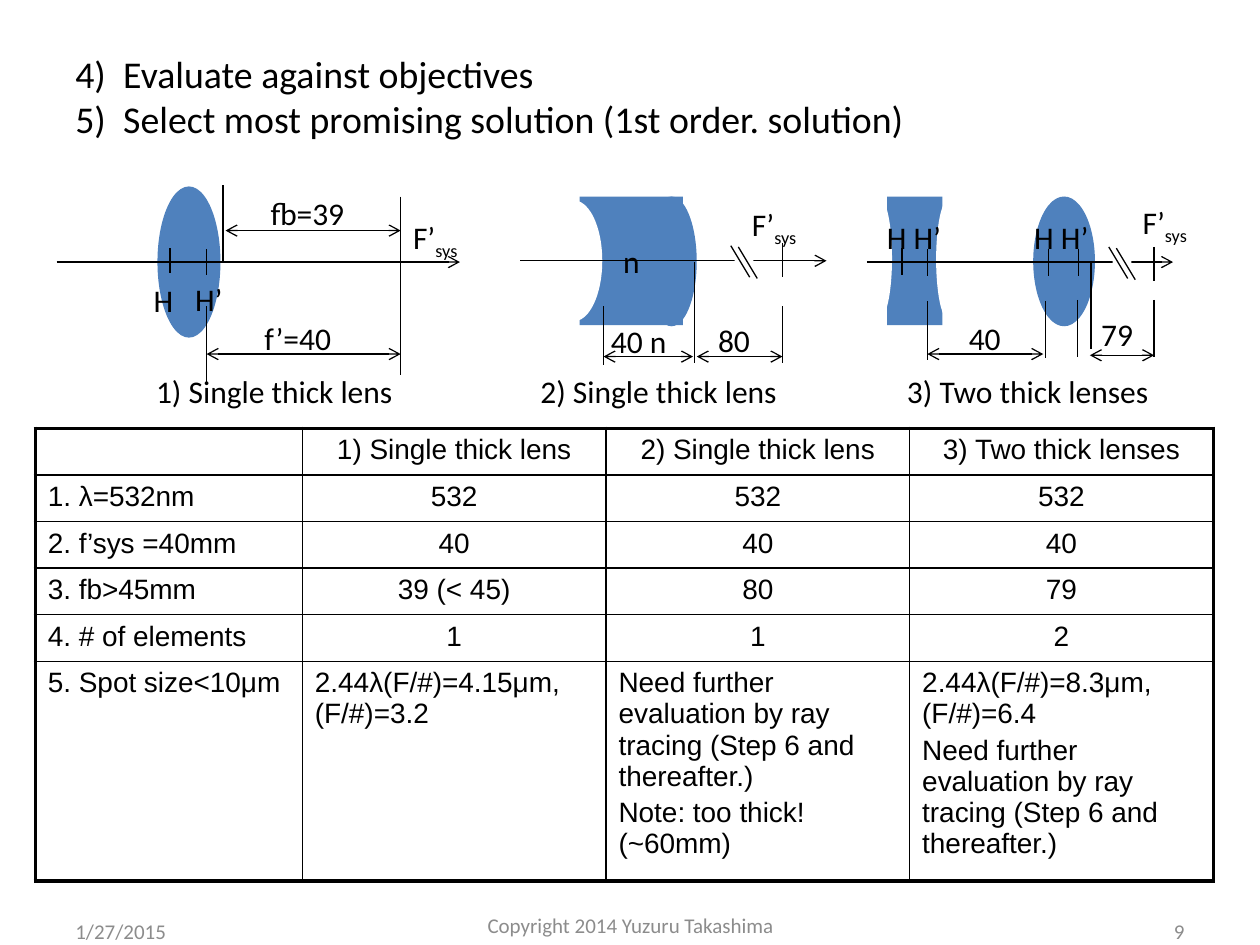
"""Build a slide that compares three first-order lens solutions."""
from lxml.etree import SubElement
from pptx import Presentation
from pptx.dml.color import RGBColor
from pptx.enum.shapes import MSO_CONNECTOR, MSO_SHAPE
from pptx.enum.text import MSO_ANCHOR, PP_ALIGN
from pptx.oxml.ns import qn
from pptx.util import Inches, Pt

BLACK, WHITE, BLUE, GREY = "000000", "FFFFFF", "4F81BD", "8C8C8C"
LEFT, CENTER, RIGHT = PP_ALIGN.LEFT, PP_ALIGN.CENTER, PP_ALIGN.RIGHT
OVAL, RECT = MSO_SHAPE.OVAL, MSO_SHAPE.RECTANGLE

TITLE = ["4)\tEvaluate against objectives",
         "5)\tSelect most promising solution (1st order. solution)"]
FOOTERS = [("1/27/2015", 0.5, 7.13, 2.33, LEFT),
           ("Copyright 2014 Yuzuru Takashima", 3.42, 7.08, 3.17, CENTER),
           ("9", 7.17, 7.13, 2.33, RIGHT)]
LENS_PARTS = [
    (OVAL, 1.25, 1.48, 0.5, 1.2, BLUE, ""),
    (OVAL, 5.13, 1.56, 0.4, 1.03, BLUE, ""),
    (RECT, 4.6, 1.56, 0.82, 1.02, BLUE, "n"),
    (OVAL, 4.33, 1.59, 0.45, 0.96, WHITE, ""),
    (OVAL, 8.2, 1.56, 0.49, 1.03, BLUE, ""),
    (RECT, 7.04, 1.56, 0.44, 1.02, BLUE, ""),
    (OVAL, 7.43, 1.58, 0.2, 0.96, WHITE, ""),
    (OVAL, 6.88, 1.57, 0.2, 0.96, WHITE, ""),
]
AXES = [(0.45, 3.65, 2.08), (4.13, 6.56, 2.07), (6.88, 9.31, 2.08)]
DIMENSIONS = [(1.64, 3.18, 2.81), (1.79, 3.18, 1.83), (4.79, 5.5, 2.83),
              (5.53, 6.21, 2.83), (7.36, 8.28, 2.81), (8.65, 9.16, 2.82)]
VERTICALS = [
    (1.35, 1.97, 2.17), (1.64, 1.98, 2.18), (1.64, 2.43, 3.03),
    (3.18, 1.56, 2.98), (1.77, 1.47, 2.07),
    (4.79, 2.43, 2.9), (5.51, 2.08, 2.88), (6.21, 1.93, 2.2), (6.21, 2.43, 2.88),
    (7.16, 1.97, 2.18), (7.36, 1.98, 2.19), (8.32, 1.98, 2.19), (8.56, 1.98, 2.19),
    (7.36, 2.39, 2.86), (8.3, 2.39, 2.84), (8.55, 2.38, 2.83),
    (9.16, 1.96, 2.23), (8.66, 2.08, 2.77), (9.16, 2.38, 2.83),
]
AXIS_BREAKS = [(5.8, 1.95), (8.8, 1.96)]
LABELS = [
    ("H", 1.12, 2.18, 0.38), ("H’", 1.45, 2.17, 0.44),
    ("f’=40", 2, 2.48, 0.75), ("fb=39", 2.05, 1.49, 0.83),
    ("40 n", 4.75, 2.51, 0.69), ("80", 5.6, 2.5, 0.48),
    ("40", 7.59, 2.48, 0.48), ("79", 8.64, 2.45, 0.48),
    ("H H’", 6.94, 1.68, 0.69), ("H H’", 8.11, 1.68, 0.69),
    ("1) Single thick lens", 1.14, 2.9, 2.3),
    ("2) Single thick lens", 4.19, 2.9, 2.3),
    ("3) Two thick lenses", 7.1, 2.9, 2.34),
]
FOCAL_POINTS = [(3.18, 1.68), (5.87, 1.58), (8.97, 1.56)]
RAY_TRACE = "Need further evaluation by ray tracing (Step 6 and thereafter.)"
ROWS = [
    ["", "1) Single thick lens", "2) Single thick lens", "3) Two thick lenses"],
    ["1. λ=532nm", "532", "532", "532"],
    ["2. f’sys =40mm", "40", "40", "40"],
    ["3. fb>45mm", "39 (< 45)", "80", "79"],
    ["4. # of elements", "1", "1", "2"],
    ["5. Spot size<10μm", "2.44λ(F/#)=4.15μm, (F/#)=3.2",
     RAY_TRACE + "\nNote: too thick! (~60mm)",
     "2.44λ(F/#)=8.3μm, (F/#)=6.4\n" + RAY_TRACE],
]
COL_WIDTHS = [2.12, 2.41, 2.41, 2.41]
ROW_HEIGHTS = [0.37] * 5 + [1.74]


def rgb(color):
    return RGBColor.from_string(color)


def style(tf, size, color=BLACK, align=LEFT, font="Calibri"):
    for p in tf.paragraphs:
        p.alignment = align
        for r in p.runs:
            r.font.size, r.font.name = Pt(size), font
            r.font.color.rgb = rgb(color)


def add_text(s, text, x, y, w, h=0.4, wrap=False):
    tf = s.shapes.add_textbox(*map(Inches, (x, y, w, h))).text_frame
    tf.word_wrap = wrap
    tf.text = text
    return tf


def add_part(s, kind, x, y, w, h, color, text=""):
    sp = s.shapes.add_shape(kind, *map(Inches, (x, y, w, h)))
    sp.shadow.inherit = False
    sp.fill.solid()
    sp.fill.fore_color.rgb = rgb(color)
    sp.line.fill.background()
    if text:
        sp.text_frame.text = text
        style(sp.text_frame, 18, align=CENTER)


def add_line(s, x1, y1, x2, y2, *ends):
    line = s.shapes.add_connector(MSO_CONNECTOR.STRAIGHT, *map(Inches, (x1, y1, x2, y2)))
    line.line.color.rgb = rgb(BLACK)
    line.line.width = Pt(0.75)
    ln = line.line._get_or_add_ln()
    for end in ends:
        SubElement(ln, qn("a:" + end), type="arrow")
    SubElement(line._element.spPr, qn("a:effectLst"))


def add_border(cell, side, width):
    ln = SubElement(cell._tc.get_or_add_tcPr(), qn("a:ln" + side), w=str(Pt(width)))
    SubElement(SubElement(ln, qn("a:solidFill")), qn("a:srgbClr"), val=BLACK)


def add_results(s):
    table = s.shapes.add_table(len(ROWS), len(COL_WIDTHS), Inches(0.28), Inches(3.4),
                               Inches(sum(COL_WIDTHS)), Inches(sum(ROW_HEIGHTS))).table
    table.first_row = table.horz_banding = False
    for col, width in zip(table.columns, COL_WIDTHS):
        col.width = Inches(width)
    last_row, last_col = len(ROWS) - 1, len(COL_WIDTHS) - 1
    for i, row in enumerate(ROWS):
        table.rows[i].height = Inches(ROW_HEIGHTS[i])
        for j, text in enumerate(row):
            cell = table.cell(i, j)
            outer = {"L": j == 0, "R": j == last_col, "T": i == 0, "B": i == last_row}
            for side, is_outer in outer.items():
                add_border(cell, side, 2.25 if is_outer else 1)
            cell.fill.background()
            tf = cell.text_frame
            tf.text = text
            style(tf, 16, align=CENTER if j and i < last_row else LEFT, font="Arial")
            tf.paragraphs[0].font.size = Pt(16)
            for p in tf.paragraphs[1:]:
                p.space_before = Pt(3.2)


def main():
    prs = Presentation()
    prs.slide_width, prs.slide_height = Inches(10), Inches(7.5)
    s = prs.slides.add_slide(prs.slide_layouts[6])

    tf = add_text(s, "\n".join(TITLE), 0.5, 0.3, 9, 1.25, wrap=True)
    tf.margin_top = Inches(0.1)
    style(tf, 21.6)
    for p in tf.paragraphs:
        pPr = p._p.get_or_add_pPr()
        pPr.set("marL", str(Inches(0.38)))
        pPr.set("indent", str(-Inches(0.38)))
    for text, x, y, w, align in FOOTERS:
        tf = add_text(s, text, x, y, w, 0.52, wrap=True)
        tf.vertical_anchor = MSO_ANCHOR.MIDDLE
        style(tf, 12, GREY, align)

    for part in LENS_PARTS:
        add_part(s, *part)
    for x1, x2, y in AXES:
        add_line(s, x1, y, x2, y, "tailEnd")
    for x1, x2, y in DIMENSIONS:
        add_line(s, x1, y, x2, y, "headEnd", "tailEnd")
    for x, y1, y2 in VERTICALS:
        add_line(s, x, y1, x, y2)
    for x, y in AXIS_BREAKS:
        add_part(s, RECT, x + 0.03, y + 0.06, 0.15, 0.14, WHITE)
        for dx, dy in [(0, 0), (0.06, 0.01)]:
            add_line(s, x + dx, y + dy, x + dx + 0.15, y + dy + 0.25)

    for label in LABELS:
        style(add_text(s, *label), 18)
    for x, y in FOCAL_POINTS:
        tf = add_text(s, "F’", x, y, 0.66)
        r = tf.paragraphs[0].add_run()
        r.text = "sys"
        style(tf, 18)
        r._r.get_or_add_rPr().set("baseline", "-25000")

    add_results(s)
    prs.save("out.pptx")


if __name__ == "__main__":
    main()
